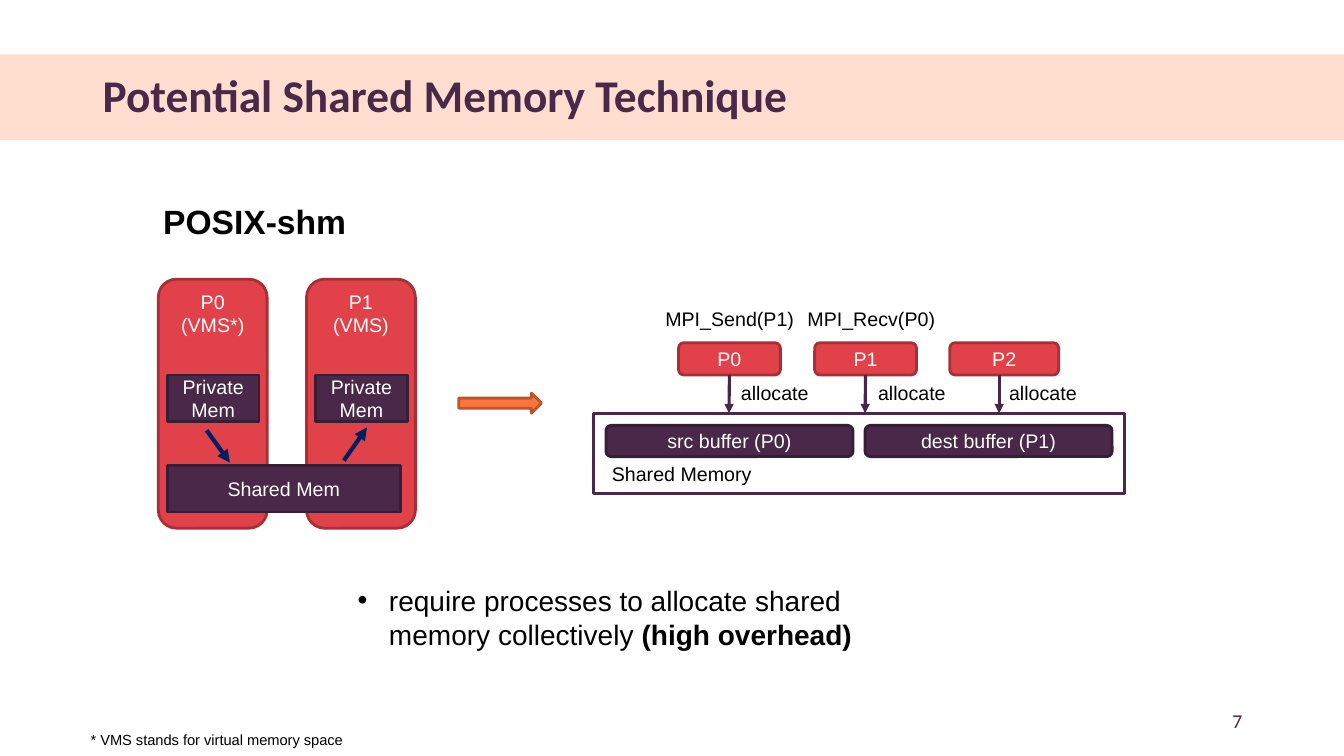
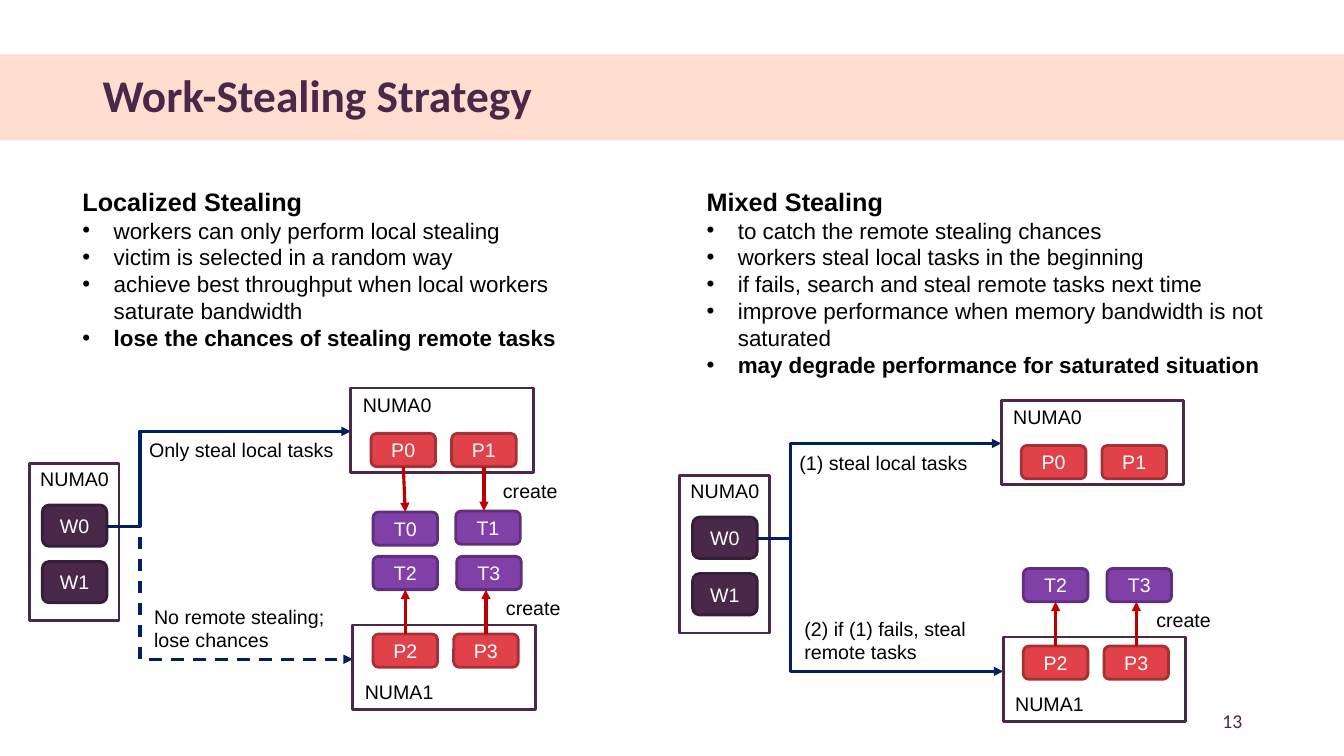
from pptx import Presentation
from pptx.dml.color import RGBColor as Rgb
from pptx.enum.dml import MSO_LINE as Dash
from pptx.enum.shapes import MSO_CONNECTOR as Conn, MSO_SHAPE as Form
from pptx.enum.text import MSO_ANCHOR as Anchor, PP_ALIGN as Align
from pptx.oxml.ns import qn
from pptx.util import Inches, Pt
from lxml.etree import SubElement as Sub


class Theme:
    sans, head = "Arial", "Calibri"
    ink, white, plum, peach = "000000", "FFFFFF", "492849", "FFDDCF"
    navy, stem, blood = "002060", "482648", "C00000"
    red = ("E14149", "A63036")
    dark = ("492849", "361E36")
    violet = ("8040A7", "5F2F7C")
    orange = ("FF743C", "BD562C")
    frame = ("FFFFFF", "492849")
    title, topic, point, lead, item, label, note = 32.4, 24, 20, 18, 16, 14, 10.5
    edge, line, bold = 2, 2.25, 3


SHARED = {
    "title": "Potential Shared Memory Technique",
    "page": "7",
    "topic": "POSIX-shm",
    "note": "* VMS stands for virtual memory space",
    "point": [("require processes to allocate shared memory collectively ", False),
              ("(high overhead)", True)],
    "spaces": [(1.57, ["P0", "(VMS*)"]), (3.04, ["P1", "(VMS)"])],
    "moves": [((2.05, 4.27), (2.28, 4.59)), ((3.41, 4.57), (3.64, 4.24))],
    "ranks": [("P0", 6.73, 1.01, 7.23, 7.25), ("P1", 8.08, 1.01, 8.58, 8.61),
              ("P2", 9.42, 1.08, 9.91, 9.91)],
    "calls": [("MPI_Send(P1)", 6.5), ("MPI_Recv(P0)", 7.91)],
    "buffers": [("src buffer (P0)", 6.01), ("dest buffer (P1)", 8.58)],
}

STEAL = {
    "title": "Work-Stealing Strategy",
    "page": "13",
    "panes": [
        {"shift": (0, 0), "text": (0.72, 1.8, 5.06, 1.75),
         "lead": "Localized Stealing",
         "items": ["workers can only perform local stealing",
                   "victim is selected in a random way",
                   "achieve best throughput when local workers saturate bandwidth",
                   "lose the chances of stealing remote tasks"],
         "near": ("Only steal local tasks", 1.38),
         "far": ("No remote stealing; lose chances", 1.43),
         "dashed": True, "nodes": ("NUMA0", "NUMA1")},
        {"shift": (6.45, 0.12), "text": (6.91, 1.8, 5.98, 2.02),
         "lead": "Mixed Stealing",
         "items": ["to catch the remote stealing chances",
                   "workers steal local tasks in the beginning",
                   "if fails, search and steal remote tasks next time",
                   "improve performance when memory bandwidth is not saturated",
                   "may degrade performance for saturated situation"],
         "near": ("(1) steal local tasks", 1.38),
         "far": ("(2) if (1) fails, steal remote tasks", 1.43),
         "dashed": False, "nodes": ("NUMA1",)},
    ],
}

NODES = {
    "NUMA0": {"at": (3.48, 3.85), "label": 0, "row": 0.45, "names": ("P0", "P1"),
              "tasks": [("T0", 3.7, 5.08), ("T1", 4.52, 5.07)],
              "side": 2, "make": (4.89, 4.7)},
    "NUMA1": {"at": (3.5, 6.2), "label": 0.5, "row": 0.09, "names": ("P2", "P3"),
              "tasks": [("T2", 3.7, 5.52), ("T3", 4.53, 5.52)],
              "side": 0, "make": (4.92, 5.86)},
}


def add_run(para, text, size, ink=Theme.ink, bold=False, face=Theme.sans):
    run = para.add_run()
    run.text = text
    font = run.font
    font.size, font.name, font.bold = Pt(size), face, bold
    font.color.rgb = Rgb.from_string(ink)


def add_box(slide, box, tone, lines=(), form=Form.ROUNDED_RECTANGLE,
            edge=Theme.edge, anchor=Anchor.MIDDLE):
    shape = slide.shapes.add_shape(form, *map(Inches, box))
    shape.shadow.inherit = False
    shape.fill.solid()
    shape.fill.fore_color.rgb = Rgb.from_string(tone[0])
    if tone[1]:
        shape.line.color.rgb = Rgb.from_string(tone[1])
        shape.line.width = Pt(edge)
    else:
        shape.line.fill.background()
    frame = shape.text_frame
    frame.vertical_anchor = anchor
    for i, text in enumerate(lines):
        para = frame.add_paragraph() if i else frame.paragraphs[0]
        para.alignment = Align.CENTER
        add_run(para, text, Theme.label, Theme.white)
    return shape


def add_frame(slide, box, anchor=Anchor.TOP):
    frame = slide.shapes.add_textbox(*map(Inches, box)).text_frame
    frame.word_wrap = True
    frame.vertical_anchor = anchor
    return frame


def add_text(slide, box, text, size=Theme.label, bold=False):
    frame = add_frame(slide, box)
    add_run(frame.paragraphs[0], text, size, bold=bold)
    return frame


def add_mark(para):
    props = para._p.get_or_add_pPr()
    props.set("marL", str(Inches(0.31)))
    props.set("indent", str(-Inches(0.31)))
    Sub(props, qn("a:buFont")).set("typeface", Theme.sans)
    Sub(props, qn("a:buChar")).set("char", "•")


def add_link(slide, start, end, ink, width=Theme.line, kind=Conn.STRAIGHT,
             bend=None, dashed=False):
    link = slide.shapes.add_connector(kind, *map(Inches, start + end))
    link.line.color.rgb = Rgb.from_string(ink)
    link.line.width = Pt(width)
    if dashed:
        link.line.dash_style = Dash.DASH
    Sub(link.line._get_or_add_ln(), qn("a:tailEnd")).set("type", "triangle")
    props = link._element.spPr
    Sub(props, qn("a:effectLst"))
    if bend:
        geom = props.find(qn("a:prstGeom"))
        guides = geom.find(qn("a:avLst"))
        if guides is None:
            guides = Sub(geom, qn("a:avLst"))
        guide = Sub(guides, qn("a:gd"))
        guide.set("name", "adj1")
        guide.set("fmla", f"val {round(bend * 100000)}")
    return link


def add_slide(deck, data):
    slide = deck.slides.add_slide(deck.slide_layouts[6])
    add_box(slide, (0, 0.54, 13.33, 0.85), (Theme.peach, None), form=Form.RECTANGLE)
    para = add_frame(slide, (0.92, 0.71, 11.5, 0.52), Anchor.MIDDLE).paragraphs[0]
    para.line_spacing = 0.9
    add_run(para, data["title"], Theme.title, Theme.plum, True, Theme.head)
    return slide


def add_page(slide, data):
    para = add_frame(slide, (9.42, 6.95, 3, 0.4), Anchor.MIDDLE).paragraphs[0]
    para.alignment = Align.RIGHT
    add_run(para, data["page"], Theme.label, Theme.plum, face=Theme.head)


def draw_spaces(slide, data):
    for x, lines in data["spaces"]:
        add_box(slide, (x, 2.77, 1.08, 2.47), Theme.red, lines, anchor=Anchor.TOP)
        add_box(slide, (x + 0.09, 3.72, 0.91, 0.46), Theme.dark,
                ["Private Mem"], Form.RECTANGLE)
    add_box(slide, (1.66, 4.62, 2.31, 0.46), Theme.dark, ["Shared Mem"], Form.RECTANGLE)
    for start, end in data["moves"]:
        add_link(slide, start, end, Theme.navy, Theme.bold)
    add_box(slide, (4.55, 3.9, 0.82, 0.2), Theme.orange, form=Form.RIGHT_ARROW)


def draw_ranks(slide, data):
    add_box(slide, (5.89, 4.1, 5.26, 0.8), Theme.frame,
            form=Form.RECTANGLE, edge=Theme.line)
    for name, x in data["buffers"]:
        add_box(slide, (x, 4.22, 2.45, 0.31), Theme.dark, [name])
    add_text(slide, (5.97, 4.53, 2.13, 0.34), "Shared Memory")
    for text, x in data["calls"]:
        add_text(slide, (x, 3, 1.58, 0.34), text)
    top, tall = 3.4, 0.32
    for name, x, wide, stem, side in data["ranks"]:
        rank = add_box(slide, (x, top, wide, tall), Theme.red, [name])
        link = add_link(slide, (stem, top + tall), (stem, 4.1), Theme.stem)
        if abs(x + wide / 2 - stem) < 0.02:
            link.begin_connect(rank, 2)
        add_text(slide, (side, 3.73, 0.95, 0.34), "allocate")


def draw_shared(deck, data):
    slide = add_slide(deck, data)
    add_text(slide, (0.8, 7.2, 12.12, 0.28), data["note"], Theme.note)
    add_text(slide, (1.52, 1.94, 3.76, 0.5), data["topic"], Theme.topic, True)
    draw_spaces(slide, data)
    draw_ranks(slide, data)
    para = add_frame(slide, (3.45, 5.74, 5.74, 0.77)).paragraphs[0]
    add_mark(para)
    for text, bold in data["point"]:
        add_run(para, text, Theme.point, bold=bold)
    add_page(slide, data)


def draw_node(slide, name, place, active):
    node = NODES[name]
    x, y = node["at"]
    wide, tall = 0.64, 0.33
    add_box(slide, place(x, y, 1.81, 0.84), Theme.frame, form=Form.RECTANGLE)
    add_text(slide, place(x + 0.02, y + node["label"], 1, 0.34), name)
    if active:
        add_text(slide, place(*node["make"], 1.03, 0.34), "create")
    side = node["side"]
    for i, (proc, (task, left, top)) in enumerate(zip(node["names"], node["tasks"])):
        px, py = x + 0.2 + 0.8 * i, y + node["row"]
        source = add_box(slide, place(px, py, wide, tall), Theme.red, [proc])
        if not active:
            continue
        goal = add_box(slide, place(left, top, wide, tall), Theme.violet, [task])
        mid = px + wide / 2
        start = place(mid, py + (tall if side == 2 else 0))
        end = place(mid, top + (0 if side == 2 else tall))
        link = add_link(slide, start, end, Theme.blood)
        link.begin_connect(source, side)
        if abs(left - px) < 0.025:
            link.end_connect(goal, 2 - side)


def draw_pane(slide, pane):
    dx, dy = pane["shift"]

    def place(x, y, *size):
        return (x + dx, y + dy) + size

    frame = add_text(slide, pane["text"], pane["lead"], Theme.lead, True)
    for item in pane["items"]:
        para = frame.add_paragraph()
        add_mark(para)
        add_run(para, item, Theme.item, bold=item == pane["items"][-1])

    add_box(slide, place(0.29, 4.6, 0.89, 1.56), Theme.frame, form=Form.RECTANGLE)
    for i in range(2):
        add_box(slide, place(0.42, 5.01 + 0.56 * i, 0.64, 0.41), Theme.dark, [f"W{i}"])
    add_text(slide, place(0.3, 4.58, 0.95, 0.38), "NUMA0")
    for (text, x), y, tall in ((pane["near"], 4.3, 0.34), (pane["far"], 5.95, 0.57)):
        add_text(slide, place(x, y, 2.07, tall), text)
    start = place(1.06, 5.22)
    for end, dashed in (((3.5, 6.54), pane["dashed"]), ((3.48, 4.28), False)):
        add_link(slide, start, place(*end), Theme.navy, kind=Conn.ELBOW,
                 bend=0.33 / (end[0] - 1.06), dashed=dashed)
    for name in NODES:
        draw_node(slide, name, place, name in pane["nodes"])


def draw_steal(deck, data):
    slide = add_slide(deck, data)
    for pane in data["panes"]:
        draw_pane(slide, pane)
    add_page(slide, data)


def main():
    deck = Presentation()
    deck.slide_width, deck.slide_height = Inches(13.33), Inches(7.5)
    draw_shared(deck, SHARED)
    draw_steal(deck, STEAL)
    deck.save("out.pptx")


if __name__ == "__main__":
    main()
